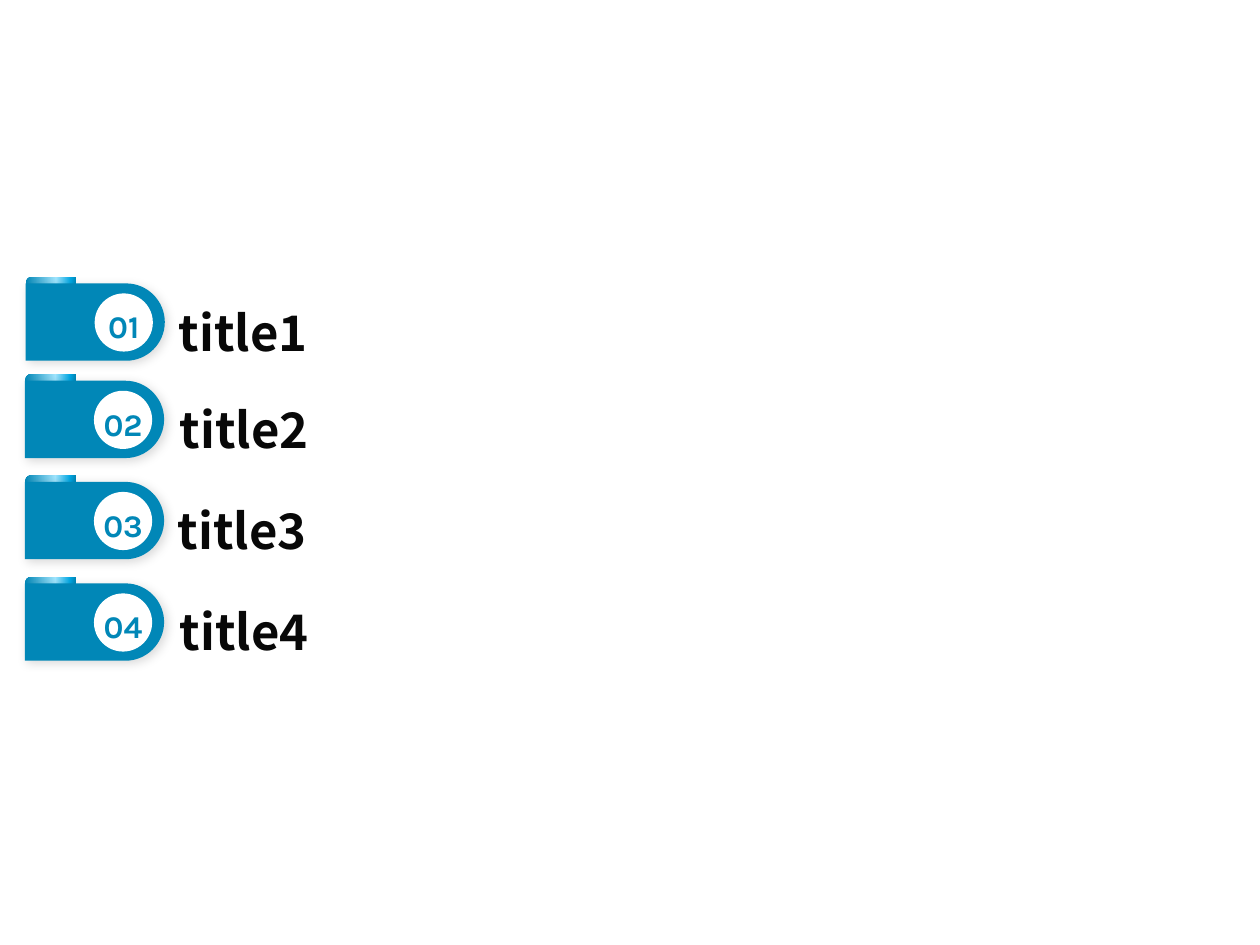
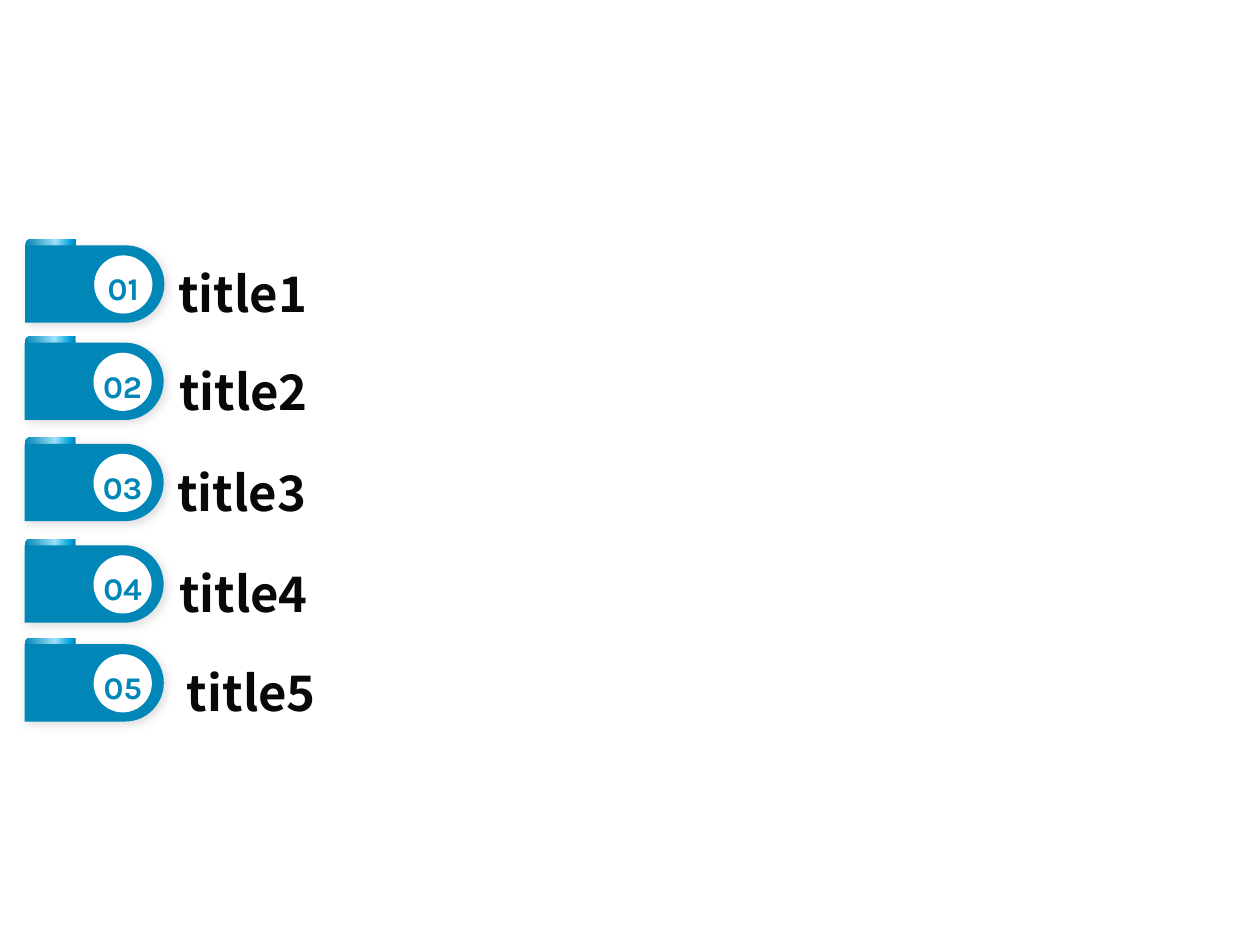
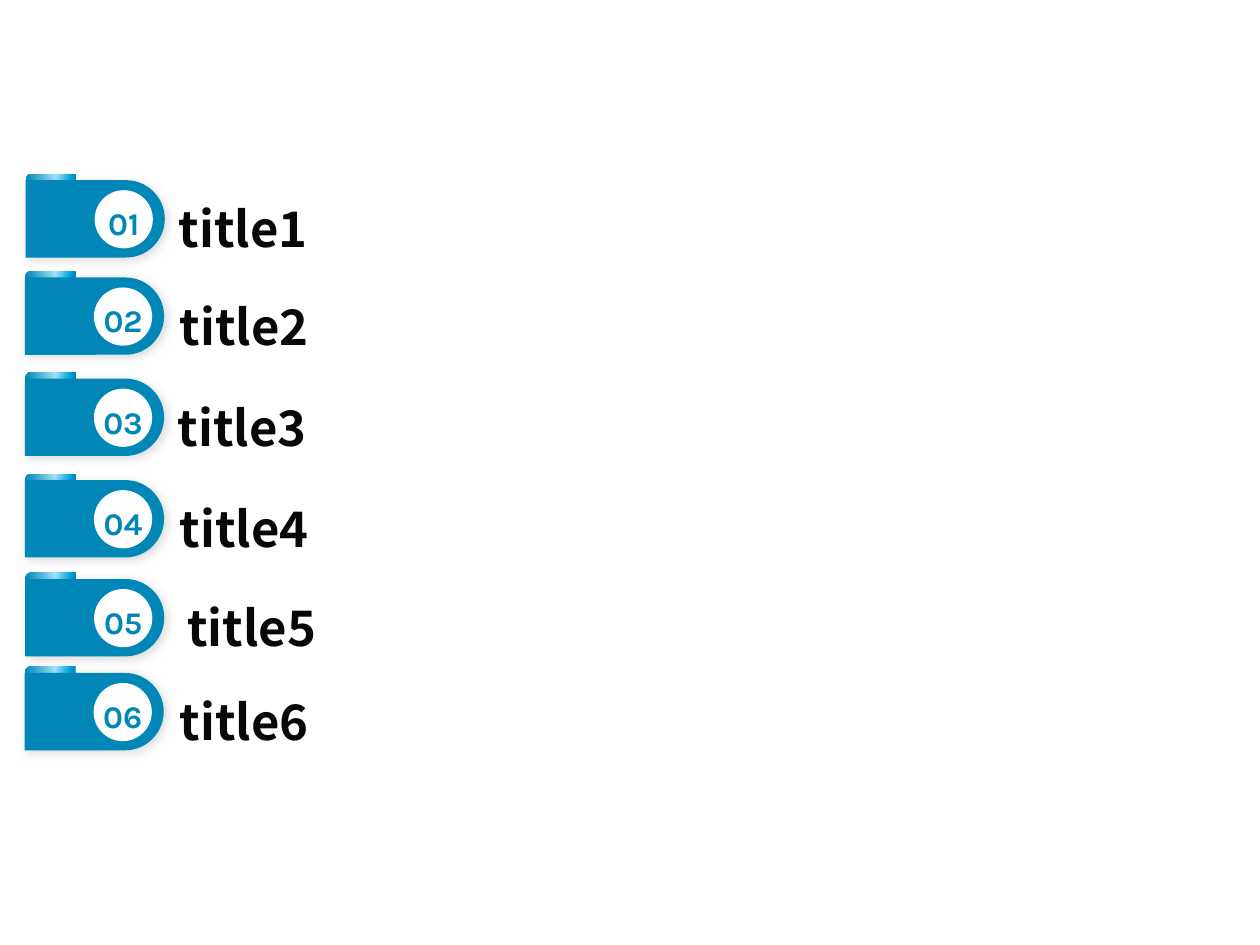
from dataclasses import dataclass

from lxml import etree
from pptx import Presentation
from pptx.dml.color import RGBColor
from pptx.enum.shapes import MSO_SHAPE
from pptx.enum.text import MSO_ANCHOR, MSO_AUTO_SIZE, PP_ALIGN
from pptx.oxml import parse_xml
from pptx.oxml.ns import qn
from pptx.util import Pt

ELLIPSE = MSO_SHAPE.OVAL
MIDDLE = MSO_ANCHOR.MIDDLE
CENTER = PP_ALIGN.CENTER
GROW = MSO_AUTO_SIZE.SHAPE_TO_FIT_TEXT
DRAWING = "http://schemas.openxmlformats.org/drawingml/2006/main"
CIRCLE_FACTOR = 0.55


@dataclass(frozen=True)
class Theme:
    background: str = "FFFFFF"
    badge: str = "0187B7"
    disc: str = "FFFFFF"
    title: str = "080808"
    shadow: str = "000000"
    fold: tuple = ((0, "0187B7"), (60, "A0E5FE"), (89, "01A7E3"), (100, "0187B7"))
    number_font: str = "Karla"
    title_font: str = "Noto Sans CJK SC"
    number_size: int = 18
    title_size: int = 28


@dataclass(frozen=True)
class Row:
    number: int
    left: float
    top: float
    title_left: float


THEME = Theme()
SLIDE_WIDTH, SLIDE_HEIGHT = 720, 540
TITLE_RIGHT = 711.5
ROW_STEPS = (
    (0.4, 0, 80.75),
    (0, 55.6, 81.25),
    (0, 113.4, 80.25),
    (0, 171.4, 81.25),
    (0.1, 227.9, 85.75),
    (-0.2, 281.6, 81.25),
)
BASE_ROWS = 4
CONTENTS = ((14.25, 158.25, 4), (14, 136.5, 5), (14.25, 99.25, 6))


def color(value):
    return RGBColor.from_string(value)


def round_corner(segment, start, corner, end):
    curve = etree.Element(qn("a:cubicBezTo"))
    controls = [
        tuple(a + CIRCLE_FACTOR * (c - a) for a, c in zip(anchor, corner))
        for anchor in (start, end)
    ]
    for x, y in (*controls, end):
        etree.SubElement(curve, qn("a:pt"), x=str(Pt(x)), y=str(Pt(y)))
    segment.getparent().replace(segment, curve)


def add_outline(slide, left, top, points, corners):
    anchors = [(Pt(left + x), Pt(top + y)) for x, y in points]
    builder = slide.shapes.build_freeform(*anchors[0])
    builder.add_line_segments(anchors[1:], close=True)
    shape = builder.convert_to_shape()
    shape.line.fill.background()
    shape.shadow.inherit = False
    segments = list(shape._element.iter(qn("a:lnTo")))
    for index, corner in corners.items():
        round_corner(segments[index], points[index], corner, points[index + 1])
    return shape


def set_gradient(shape, stops):
    shape.fill.background()
    entries = "".join(
        f'<a:gs pos="{position * 1000}"><a:srgbClr val="{value}"/></a:gs>'
        for position, value in stops
    )
    gradient = parse_xml(
        f'<a:gradFill xmlns:a="{DRAWING}" rotWithShape="1"><a:gsLst>{entries}</a:gsLst>'
        '<a:lin ang="0" scaled="0"/></a:gradFill>'
    )
    properties = shape._element.spPr
    properties.replace(properties.find(qn("a:noFill")), gradient)


def add_soft_shadow(shape):
    effects = shape._element.spPr.find(qn("a:effectLst"))
    shadow = etree.SubElement(
        effects, qn("a:outerShdw"), blurRad=str(Pt(6)), dist=str(Pt(2)),
        dir="2700000", algn="tl", rotWithShape="0",
    )
    tone = etree.SubElement(shadow, qn("a:srgbClr"), val=THEME.shadow)
    etree.SubElement(tone, qn("a:alpha"), val="15000")


def add_run(paragraph, text, font_name, size, value):
    run = paragraph.add_run()
    run.text = text
    run.font.name = font_name
    run.font.size = Pt(size)
    run.font.bold = True
    run.font.color.rgb = color(value)


def add_fold(slide, row):
    width, height = 29, 7.25
    radius = height / 2
    points = [
        (radius, 0), (width, 0), (width, height),
        (radius, height), (0, radius), (radius, 0),
    ]
    corners = {3: (0, height), 4: (0, 0)}
    set_gradient(add_outline(slide, row.left, row.top, points, corners), THEME.fold)


def add_badge(slide, row):
    width, height = 79.5, 44.2
    radius = height / 2
    points = [
        (0, 0), (width - radius, 0), (width, radius),
        (width - radius, height), (0, height),
    ]
    corners = {1: (width, 0), 2: (width, height)}
    badge = add_outline(slide, row.left, row.top + 3.7, points, corners)
    badge.fill.solid()
    badge.fill.fore_color.rgb = color(THEME.badge)
    add_soft_shadow(badge)


def add_number(slide, row):
    disc = slide.shapes.add_shape(
        ELLIPSE, Pt(row.left + 39.8), Pt(row.top + 9.8), Pt(32.5), Pt(32.5)
    )
    disc.shadow.inherit = False
    disc.fill.solid()
    disc.fill.fore_color.rgb = color(THEME.disc)
    disc.line.color.rgb = color(THEME.disc)
    disc.line.width = Pt(0.75)
    frame = disc.text_frame
    frame.margin_left = frame.margin_right = frame.margin_top = frame.margin_bottom = 0
    frame.vertical_anchor = MIDDLE
    paragraph = frame.paragraphs[0]
    paragraph.alignment = CENTER
    paragraph.line_spacing = 1.2
    add_run(paragraph, f"{row.number:02d}", THEME.number_font, THEME.number_size, THEME.badge)


def add_title(slide, row):
    box = slide.shapes.add_textbox(
        Pt(row.title_left), Pt(row.top + 10.8), Pt(TITLE_RIGHT - row.title_left), Pt(41)
    )
    frame = box.text_frame
    frame.word_wrap = True
    frame.auto_size = GROW
    add_run(
        frame.paragraphs[0], f"title{row.number}",
        THEME.title_font, THEME.title_size, THEME.title,
    )


def add_rows(slide, rows):
    for row in rows:
        add_fold(slide, row)
    for row in rows:
        add_badge(slide, row)
        add_number(slide, row)
    for row in rows:
        add_title(slide, row)


def add_contents_slide(presentation, left, top, count):
    slide = presentation.slides.add_slide(presentation.slide_layouts[6])
    rows = [
        Row(number, left + shift, top + offset, left + title_inset)
        for number, (shift, offset, title_inset) in enumerate(ROW_STEPS[:count], start=1)
    ]
    add_rows(slide, rows[:BASE_ROWS])
    for row in rows[BASE_ROWS:]:
        add_rows(slide, [row])


def main():
    presentation = Presentation()
    presentation.slide_width = Pt(SLIDE_WIDTH)
    presentation.slide_height = Pt(SLIDE_HEIGHT)
    background = presentation.slide_master.background.fill
    background.solid()
    background.fore_color.rgb = color(THEME.background)
    for left, top, count in CONTENTS:
        add_contents_slide(presentation, left, top, count)
    presentation.save("out.pptx")


main()
